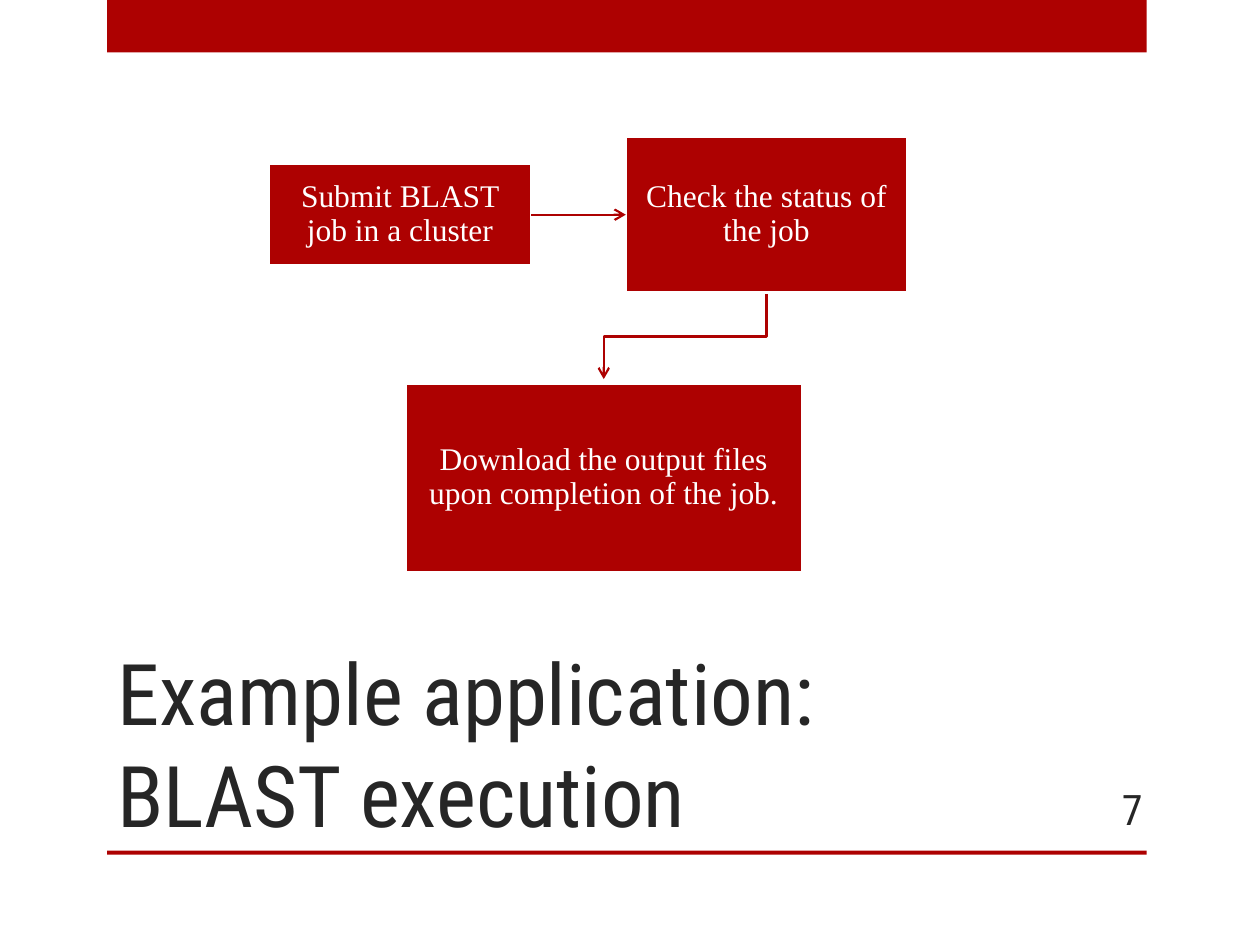
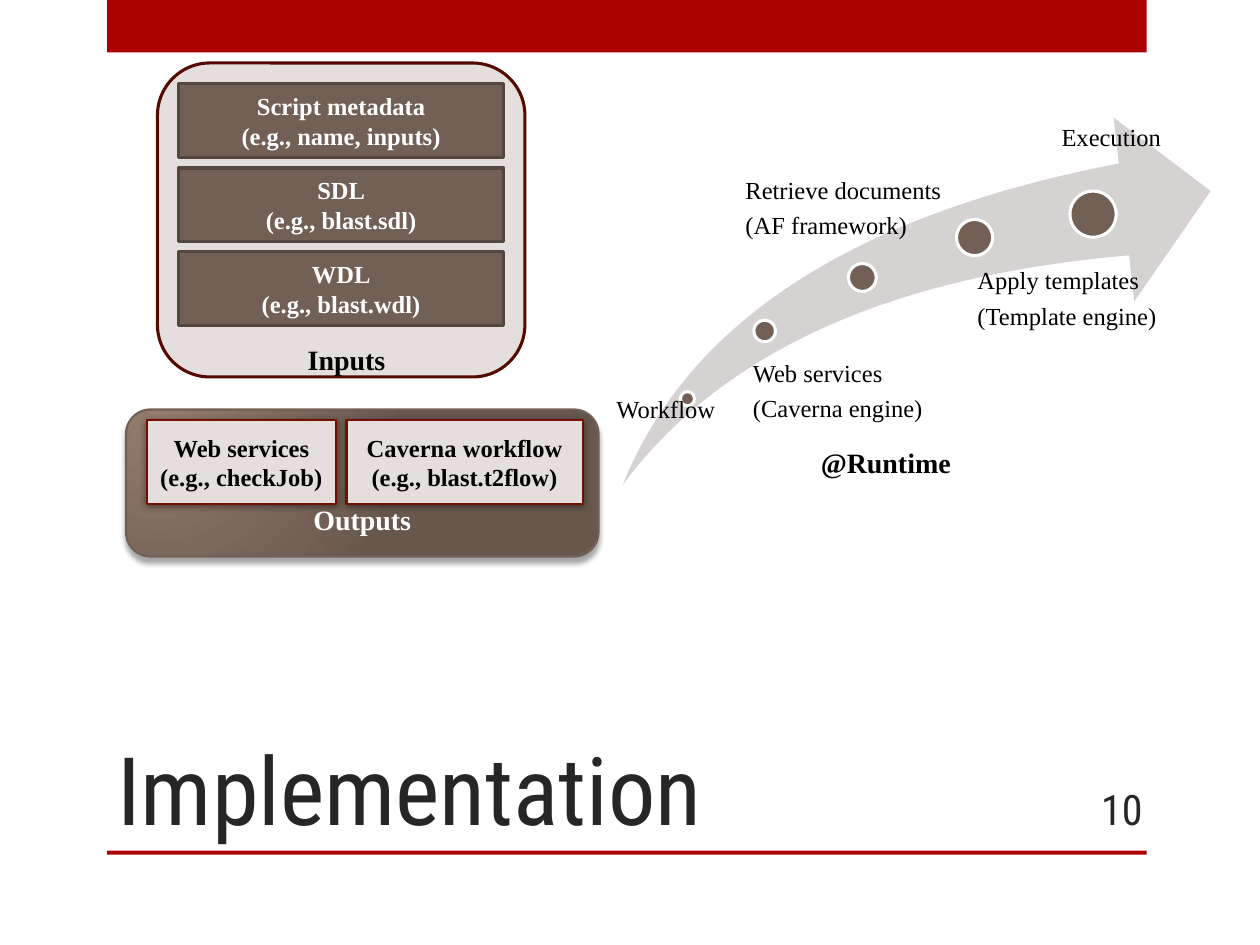
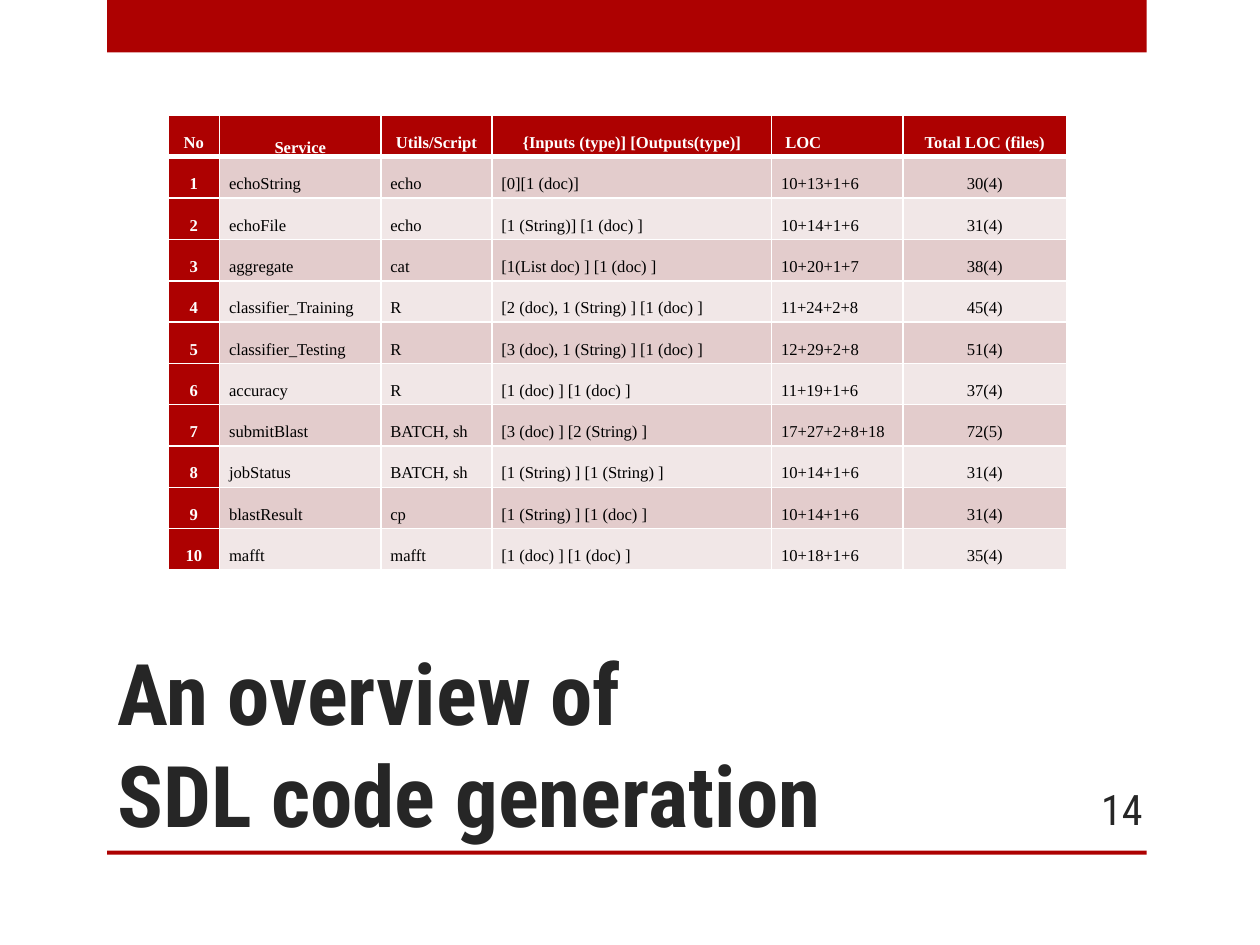
from typing import NamedTuple

from lxml import etree
from pptx import Presentation
from pptx.dml.color import RGBColor
from pptx.enum.shapes import MSO_CONNECTOR, MSO_SHAPE
from pptx.enum.text import MSO_ANCHOR, PP_ALIGN
from pptx.oxml import parse_xml
from pptx.oxml.ns import qn
from pptx.util import Inches, Pt

RECTANGLE = MSO_SHAPE.RECTANGLE
ROUNDED = MSO_SHAPE.ROUNDED_RECTANGLE
OVAL = MSO_SHAPE.OVAL
SWOOSH = MSO_SHAPE.SWOOSH_ARROW
STRAIGHT = MSO_CONNECTOR.STRAIGHT
LEFT, CENTER, RIGHT, JUSTIFY = PP_ALIGN.LEFT, PP_ALIGN.CENTER, PP_ALIGN.RIGHT, PP_ALIGN.JUSTIFY
TOP, MIDDLE, BOTTOM = MSO_ANCHOR.TOP, MSO_ANCHOR.MIDDLE, MSO_ANCHOR.BOTTOM

RED = RGBColor(0xAD, 0x01, 0x01)
MAROON = RGBColor(0x55, 0x0A, 0x00)
DARK_RED = RGBColor(0x73, 0x0E, 0x00)
BROWN = RGBColor(0x72, 0x60, 0x56)
DARK_BROWN = RGBColor(0x54, 0x47, 0x40)
LIGHT_BROWN = RGBColor(0x94, 0x7B, 0x6F)
SHADED_BROWN = RGBColor(0x67, 0x57, 0x4D)
STONE = RGBColor(0xE4, 0xDF, 0xDC)
SWOOSH_GRAY = RGBColor(0xD5, 0xD2, 0xD1)
PINK = RGBColor(0xE3, 0xCC, 0xCC)
PALE_PINK = RGBColor(0xF1, 0xE7, 0xE7)
INK = RGBColor(0x26, 0x26, 0x26)
BLACK = RGBColor(0, 0, 0)
WHITE = RGBColor(0xFF, 0xFF, 0xFF)

HEADING_FONT = "Roboto Condensed"
BODY_FONT = "Times New Roman"
DRAWING = "http://schemas.openxmlformats.org/drawingml/2006/main"
COLUMNS, ROWS = 120, 90
SLIDE_WIDTH, SLIDE_HEIGHT = Inches(10), Inches(7.5)
UNIT = SLIDE_WIDTH // COLUMNS
MARGINS = (1.2, 0.6, 1.2, 0.6)


def grid(units):
    return round(units * UNIT)


class Box(NamedTuple):
    left: float
    top: float
    width: float
    height: float

    def inside(self, left, top, width, height):
        return Box(self.left + left, self.top + top, width, height)

    def lengths(self):
        return [grid(units) for units in self]


PAGE = Box(0, 0, COLUMNS, ROWS)


def format_paragraphs(text_frame, size, color, font=BODY_FONT, bold=False,
                      align=LEFT, spacing=None, after=0):
    for paragraph in text_frame.paragraphs:
        paragraph.alignment = align
        paragraph.space_after = Pt(after)
        if spacing:
            paragraph.line_spacing = spacing
        for run in paragraph.runs:
            run.font.name = font
            run.font.size = Pt(size)
            run.font.bold = bold
            run.font.color.rgb = color


def write(shape, text, size, color, anchor=TOP, margins=MARGINS, **style):
    text_frame = shape.text_frame
    text_frame.text = text
    text_frame.word_wrap = True
    text_frame.vertical_anchor = anchor
    (text_frame.margin_left, text_frame.margin_top,
     text_frame.margin_right, text_frame.margin_bottom) = map(grid, margins)
    format_paragraphs(text_frame, size, color, **style)


def add_text(slide, box, text, size, color, **style):
    shape = slide.shapes.add_textbox(*box.lengths())
    write(shape, text, size, color, **style)


def add_block(slide, kind, box, fill, line=None, line_width=1.75):
    shape = slide.shapes.add_shape(kind, *box.lengths())
    shape.shadow.inherit = False
    shape.fill.solid()
    shape.fill.fore_color.rgb = fill
    if line is None:
        shape.line.fill.background()
    else:
        shape.line.color.rgb = line
        shape.line.width = Pt(line_width)
    return shape


def add_shadow(shape, opacity, blur, distance, angle):
    effects = shape.element.spPr.find(qn("a:effectLst"))
    effects.append(parse_xml(
        f'<a:outerShdw xmlns:a="{DRAWING}" blurRad="{Pt(blur)}" dist="{Pt(distance)}" '
        f'dir="{angle * 60000}" rotWithShape="0"><a:srgbClr val="{BLACK}">'
        f'<a:alpha val="{opacity * 1000}"/></a:srgbClr></a:outerShdw>'))


def set_radial_fill(shape, stops):
    marks = "".join(f'<a:gs pos="{share * 1000}"><a:srgbClr val="{color}"/></a:gs>'
                    for share, color in stops)
    properties = shape.element.spPr
    properties.replace(properties.find(qn("a:solidFill")), parse_xml(
        f'<a:gradFill xmlns:a="{DRAWING}" rotWithShape="1"><a:gsLst>{marks}</a:gsLst>'
        '<a:path path="circle"><a:fillToRect l="15000" t="15000" r="100000" b="100000"/>'
        '</a:path></a:gradFill>'))


def style_arrow(arrow):
    arrow.line.color.rgb = RED
    arrow.line.width = Pt(1.25)
    line = arrow.line._get_or_add_ln()
    etree.SubElement(line, qn("a:tailEnd"), type="arrow")


def add_frame(presentation, title, number, size=48.6, bold=False):
    slide = presentation.slides.add_slide(presentation.slide_layouts[6])
    for band in (Box(10.2, 0, 99, 5), Box(10.2, 81, 99, 0.4)):
        add_block(slide, RECTANGLE, PAGE.inside(*band), RED)
    add_text(slide, PAGE.inside(10, 60, 89, 21), title, size, INK,
             font=HEADING_FONT, bold=bold, anchor=BOTTOM)
    add_text(slide, PAGE.inside(100, 74.6, 10, 4.8), str(number), 24, INK,
             font=HEADING_FONT, align=RIGHT, anchor=MIDDLE)
    return slide


def add_job_flow(slide, box):
    steps = [
        ("Submit BLAST job in a cluster", (0, 2.6, 25, 9.7)),
        ("Check the status of the job", (34, 0, 26.8, 14.9)),
        ("Download the output files upon completion of the job.", (13, 23.5, 37.8, 18)),
    ]
    blocks = []
    for text, place in steps:
        block = add_block(slide, RECTANGLE, box.inside(*place), RED, WHITE)
        write(block, text, 18, WHITE, align=CENTER, anchor=MIDDLE,
              margins=(1.7,) * 4, spacing=0.9, after=6.3)
        blocks.append(block)
    submit, check, download = blocks

    connector = slide.shapes.add_connector(STRAIGHT, 0, 0, 0, 0)
    connector.begin_connect(submit, 3)
    connector.end_connect(check, 1)
    etree.SubElement(connector._element.spPr, qn("a:effectLst"))
    style_arrow(connector)

    start_x = check.left + check.width // 2
    end_x = download.left + download.width // 2
    start_y = check.top + check.height + grid(0.1)
    end_y = download.top - grid(0.4)
    middle_y = (start_y + end_y) // 2
    builder = slide.shapes.build_freeform(start_x, start_y)
    builder.add_line_segments([(start_x, middle_y), (end_x, middle_y), (end_x, end_y)], close=False)
    elbow = builder.convert_to_shape()
    elbow.shadow.inherit = False
    elbow.fill.background()
    style_arrow(elbow)


def add_inputs(slide, box):
    add_block(slide, ROUNDED, box, STONE, MAROON)
    files = ["Script metadata\n(e.g., name, inputs)", "SDL\n(e.g., blast.sdl)",
             "WDL\n(e.g., blast.wdl)"]
    for index, text in enumerate(files):
        block = add_block(slide, RECTANGLE, box.inside(2, 2 + 8 * index, 31, 7), BROWN, DARK_BROWN)
        write(block, text, 14, WHITE, bold=True, align=CENTER, anchor=MIDDLE)
    add_text(slide, box.inside(13, 26, 10, 4.4), "Inputs", 16, BLACK, bold=True,
             align=CENTER, margins=(0, 0.6, 0, 0.6))


def add_outputs(slide, box):
    panel = add_block(slide, ROUNDED, box, BROWN, BROWN, 1.25)
    set_radial_fill(panel, [(0, LIGHT_BROWN), (76, BROWN), (100, SHADED_BROWN)])
    add_shadow(panel, 35, 3, 3, 90)
    write(panel, "Outputs", 16, WHITE, bold=True, align=CENTER, anchor=MIDDLE,
          margins=(1.2, 7.5, 1.2, 0.6))
    for text, left, width in (("Web services\n(e.g., checkJob)", 2, 18),
                              ("Caverna workflow\n(e.g., blast.t2flow)", 21, 22.5)):
        block = add_block(slide, RECTANGLE, box.inside(left, 1, width, 8), STONE, DARK_RED, 1.25)
        add_shadow(block, 40, 4, 1, 88)
        write(block, text, 14, BLACK, bold=True, align=CENTER, anchor=MIDDLE,
              margins=(0.6,) * 4)


def add_runtime(slide, box):
    swoosh = add_block(slide, SWOOSH, box, SWOOSH_GRAY)
    swoosh.adjustments[0] = 0.25
    swoosh.adjustments[1] = 0.25
    stages = [
        ("Workflow", (5.5, 26.1, 1.35), (-1.3, 26.6, 22.3, 8.3), 0.7),
        ("Web services\n(Caverna engine)", (12.5, 19.3, 2.05), (11.3, 23.2, 21.7, 14.6), 1.1),
        ("Retrieve documents\n(AF framework)", (21.5, 13.9, 2.65), (10.3, 5.8, 26.3, 19.7), 1.4),
        ("Apply templates\n(Template engine)", (31.8, 9.7, 3.45), (32, 14.4, 20.6, 23.4), 1.8),
        ("Execution", (42.6, 7, 4.4), (39.4, 0.7, 16.8, 25.8), 2.4),
    ]
    for text, (left, top, diameter), place, indent in stages:
        add_block(slide, OVAL, box.inside(left, top, diameter, diameter), BROWN, WHITE)
        add_text(slide, box.inside(*place), text, 14, BLACK,
                 margins=(indent, 0, 0, 0), spacing=0.9, after=4.9)
    add_text(slide, box.inside(17.7, 30.6, 26.9, 4.4), "@Runtime", 16, BLACK, bold=True)


def set_borders(cell, bottom_width):
    properties = cell._tc.get_or_add_tcPr()
    widths = {"lnL": 1, "lnR": 1, "lnT": 1, "lnB": bottom_width}
    for index, (side, width) in enumerate(widths.items()):
        properties.insert(index, parse_xml(
            f'<a:{side} xmlns:a="{DRAWING}" w="{Pt(width)}"><a:solidFill>'
            f'<a:srgbClr val="{WHITE}"/></a:solidFill></a:{side}>'))


def add_service_table(slide, box):
    header = ["No", "Service", "Utils/Script", "{Inputs (type)] [Outputs(type)]",
              " LOC", "Total LOC (files)"]
    services = [
        ("echoString", "echo", "[0][1 (doc)]", "10+13+1+6", "30(4)"),
        ("echoFile", "echo", "[1 (String)] [1 (doc) ]", "10+14+1+6", "31(4)"),
        ("aggregate", "cat", "[1(List doc) ] [1 (doc) ]", "10+20+1+7", "38(4)"),
        ("classifier_Training", "R", "[2 (doc), 1 (String) ] [1 (doc) ]", "11+24+2+8", "45(4)"),
        ("classifier_Testing", "R", "[3 (doc), 1 (String) ] [1 (doc) ]", "12+29+2+8", "51(4)"),
        ("accuracy", "R", "[1 (doc) ] [1 (doc) ]", "11+19+1+6", "37(4)"),
        ("submitBlast", "BATCH, sh", "[3 (doc) ] [2 (String) ]", "17+27+2+8+18", "72(5)"),
        ("jobStatus", "BATCH, sh", "[1 (String) ] [1 (String) ]", "10+14+1+6", "31(4)"),
        ("blastResult", "cp", "[1 (String) ] [1 (doc) ]", "10+14+1+6", "31(4)"),
        ("mafft", "mafft", "[1 (doc) ] [1 (doc) ]", "10+18+1+6", "35(4)"),
    ]
    rows = [header] + [(str(number), *service) for number, service in enumerate(services, 1)]
    shares = [0.41, 1.28, 0.88, 2.22, 1.04, 1.3]
    alignments = [CENTER, JUSTIFY, JUSTIFY, JUSTIFY, LEFT, CENTER]

    table = slide.shapes.add_table(len(rows), len(header), *box.lengths()).table
    for column, share in zip(table.columns, shares):
        column.width = grid(box.width * share / sum(shares))
    for row in table.rows:
        row.height = grid(box.height / len(rows))

    for row_index, row in enumerate(rows):
        for column_index, text in enumerate(row):
            is_header = row_index == 0
            is_red = is_header or column_index == 0
            cell = table.cell(row_index, column_index)
            cell.fill.solid()
            cell.fill.fore_color.rgb = RED if is_red else (PINK if row_index % 2 else PALE_PINK)
            cell.margin_left = cell.margin_right = grid(0.9)
            cell.margin_top = cell.margin_bottom = 0
            cell.vertical_anchor = BOTTOM if text == "Service" else TOP
            set_borders(cell, 3 if is_header else 1)
            alignment = alignments[column_index]
            if is_header and alignment == JUSTIFY:
                alignment = CENTER
            cell.text_frame.text = text
            format_paragraphs(cell.text_frame, 9.5, WHITE if is_red else BLACK,
                              bold=is_red, align=alignment, spacing=2.0)


def main():
    presentation = Presentation()
    presentation.slide_width = SLIDE_WIDTH
    presentation.slide_height = SLIDE_HEIGHT

    slide = add_frame(presentation, "Example application: BLAST execution", 7)
    add_job_flow(slide, PAGE.inside(25.6, 13, 60.8, 41.5))

    slide = add_frame(presentation, "Implementation", 10, size=54)
    add_inputs(slide, PAGE.inside(15, 6, 35, 29.9))
    add_outputs(slide, PAGE.inside(12, 39, 45, 14))
    add_runtime(slide, PAGE.inside(59.3, 11.2, 56, 35))

    slide = add_frame(presentation, "An overview of \vSDL code generation", 14, bold=True)
    add_service_table(slide, PAGE.inside(16, 11, 85.6, 43.3))

    presentation.save("out.pptx")


if __name__ == "__main__":
    main()
